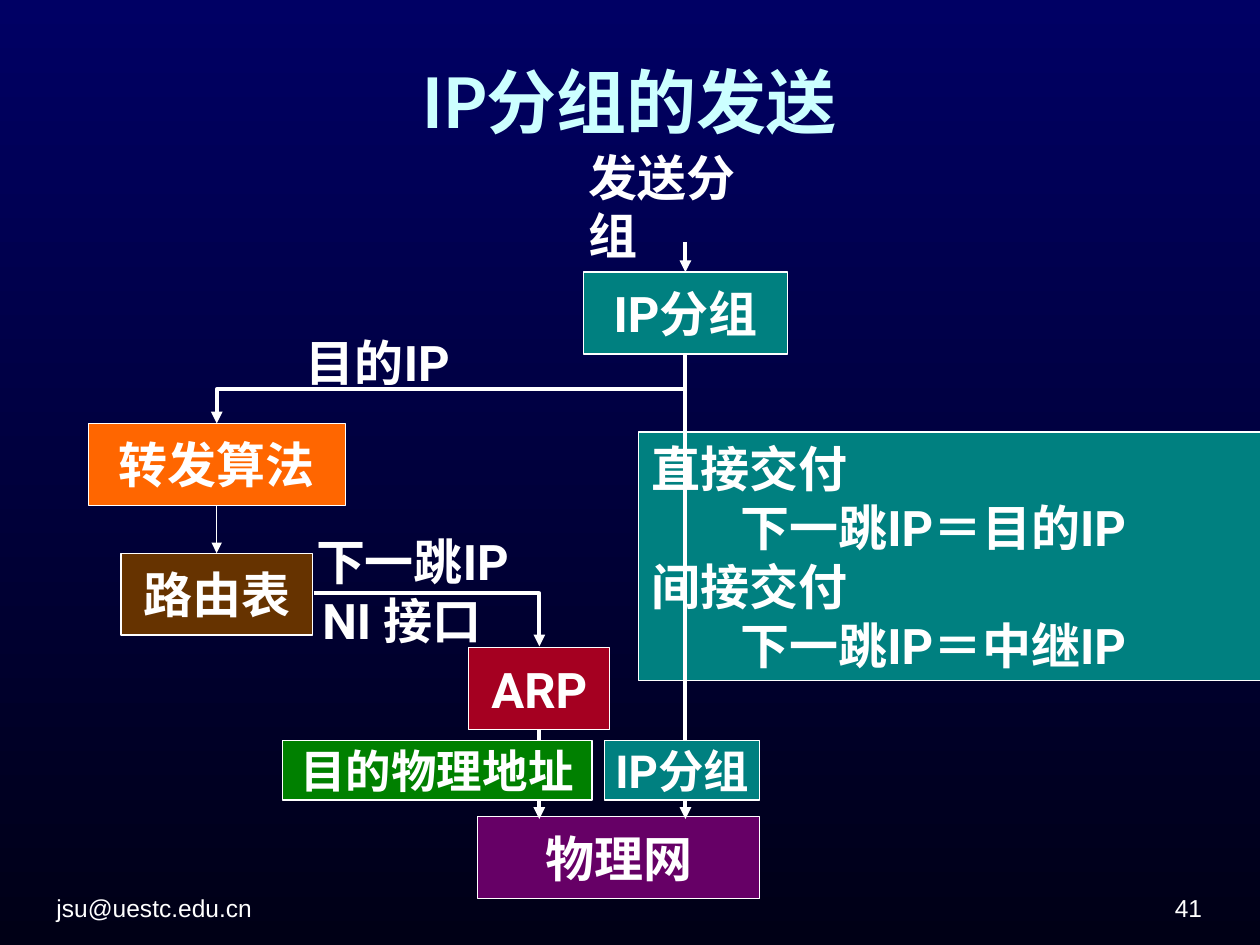
from dataclasses import dataclass
from typing import Optional

from lxml.etree import SubElement
from pptx import Presentation
from pptx.dml.color import RGBColor
from pptx.enum.shapes import MSO_CONNECTOR, MSO_SHAPE
from pptx.enum.text import MSO_ANCHOR, MSO_AUTO_SIZE, PP_ALIGN
from pptx.oxml.ns import qn
from pptx.util import Inches, Pt

WHITE = RGBColor(0xFF, 0xFF, 0xFF)
PALE = RGBColor(0xCC, 0xFF, 0xFF)
NAVY = RGBColor(0x00, 0x00, 0x64)
NIGHT = RGBColor(0x00, 0x00, 0x16)
TEAL = RGBColor(0x00, 0x80, 0x80)
ORANGE = RGBColor(0xFF, 0x66, 0x00)
BROWN = RGBColor(0x66, 0x33, 0x00)
RED = RGBColor(0xA5, 0x00, 0x21)
GREEN = RGBColor(0x00, 0x80, 0x00)
PURPLE = RGBColor(0x66, 0x00, 0x66)

COLS, ROWS = 100, 75
CELL = Inches(0.1)
FIT, FIXED = MSO_AUTO_SIZE.SHAPE_TO_FIT_TEXT, MSO_AUTO_SIZE.NONE
MID, TOP, LOW = MSO_ANCHOR.MIDDLE, MSO_ANCHOR.TOP, MSO_ANCHOR.BOTTOM
LEFT, MIDST, RIGHT = PP_ALIGN.LEFT, PP_ALIGN.CENTER, PP_ALIGN.RIGHT
HEAD = {"name": "Lato", "size": Pt(40), "bold": True}
BOLD = {"name": "Roboto", "size": Pt(28), "bold": True}
SMALL = BOLD | {"size": Pt(26)}
FOOT = {"name": "Arial", "size": Pt(14), "bold": False}
WIDE, SLIM = (0.18, 0.09), (0.1, 0.05)


@dataclass
class Box:
    key: str
    text: str
    col: float
    row: float
    wide: float
    high: float
    fill: Optional[RGBColor] = None
    font: Optional[dict] = None
    pad: tuple = WIDE
    align: int = MIDST
    anchor: int = MID
    wrap: bool = False
    size: int = FIT


@dataclass
class Link:
    start: tuple
    end: tuple
    source: str = ""
    target: str = ""
    width: float = 2.25


def span(cells: float) -> int:
    return round(cells * CELL)


def place(shape, col: float, row: float, wide: float, high: float) -> None:
    shape.left, shape.top = span(col), span(row)
    shape.width, shape.height = span(wide), span(high)


def style(part, look: dict, color: RGBColor, align: int) -> None:
    part.alignment = align
    for name, value in look.items():
        setattr(part.font, name, value)
    part.font.color.rgb = color


def draw(slide, box: Box):
    area = [span(n) for n in (box.col, box.row, box.wide, box.high)]
    if box.fill is None:
        shape = slide.shapes.add_textbox(*area)
    else:
        shape = slide.shapes.add_shape(MSO_SHAPE.RECTANGLE, *area)
        shape.shadow.inherit = False
        shape.fill.solid()
        shape.fill.fore_color.rgb = box.fill
        shape.line.color.rgb = WHITE
        shape.line.width = Pt(0.75)
    frame = shape.text_frame
    across, down = (Inches(n) for n in box.pad)
    layout = {
        "margin_left": across, "margin_right": across,
        "margin_top": down, "margin_bottom": down,
        "vertical_anchor": box.anchor, "word_wrap": box.wrap,
        "auto_size": box.size,
    }
    for name, value in layout.items():
        setattr(frame, name, value)
    frame.text = box.text
    for part in frame.paragraphs:
        style(part, box.font or BOLD, WHITE, box.align)
    return shape


def finish(line, width: float) -> None:
    line.line.color.rgb = WHITE
    line.line.width = Pt(width)
    SubElement(line.line._get_or_add_ln(), qn("a:tailEnd"), type="triangle")
    SubElement(line._element.spPr, qn("a:effectLst"))


def join(slide, link: Link, made: dict) -> None:
    ends = [span(n) for n in link.start + link.end]
    line = slide.shapes.add_connector(MSO_CONNECTOR.STRAIGHT, *ends)
    if link.source:
        line.begin_connect(made[link.source], 2)
    if link.target:
        line.end_connect(made[link.target], 0)
    finish(line, link.width)


def bend(slide, start: tuple, end: tuple, kind: str, turn: int = 0) -> None:
    ends = [span(n) for n in start + end]
    line = slide.shapes.add_connector(MSO_CONNECTOR.ELBOW, *ends)
    props = line._element.spPr
    props.find(qn("a:prstGeom")).set("prst", kind)
    if turn:
        wide, high = abs(end[0] - start[0]), abs(end[1] - start[1])
        mid = (start[0] + end[0]) / 2, (start[1] + end[1]) / 2
        frame = props.find(qn("a:xfrm"))
        frame.attrib.pop("flipH", None)
        frame.set("rot", str(turn * 60000))
        place(line, mid[0] - high / 2, mid[1] - wide / 2, high, wide)
    finish(line, 2.25)


RULES = "直接交付\n下一跳IP＝目的IP\n间接交付\n下一跳IP＝中继IP"
LABEL = {"pad": SLIM, "align": LEFT, "anchor": TOP}
NOTE = {"font": FOOT, "pad": SLIM, "anchor": LOW, "wrap": True, "size": FIXED}
BASE = [
    Box("mail", "jsu@uestc.edu.cn", 3.5, 69, 23.3, 4.7, align=LEFT, **NOTE),
    Box("page", "41", 73.1, 69, 23.3, 4.7, align=RIGHT, **NOTE),
    Box("route", "路由表", 9.6, 43.9, 15.2, 6.5, BROWN, pad=SLIM, size=FIXED),
    Box("packet", "IP分组", 46.3, 21.6, 16.2, 6.5, TEAL),
    Box("forward", "转发算法", 7, 33.6, 20.4, 6.5, ORANGE, wrap=True),
    Box("dest", "目的IP", 23.3, 25.9, 14.6, 5.7, **LABEL),
    Box("hop", "下一跳IP", 24.1, 41.7, 18.5, 5.7, **LABEL),
    Box("arp", "ARP", 37.2, 51.4, 11.2, 6.5, RED, pad=SLIM, size=FIXED),
    Box("net", "物理网", 37.9, 64.8, 22.4, 6.5, PURPLE, wrap=True),
    Box("port", "NI 接口", 24.6, 46.4, 16.4, 5.7, **LABEL),
    Box("rules", RULES, 50.7, 34.3, 51.5, 19.7, TEAL,
        pad=SLIM, align=LEFT, wrap=True),
    Box("send", "发送分组", 45.7, 13.5, 17.4, 5.7, pad=SLIM, align=LEFT),
]
FRONT = [
    Box("address", "目的物理地址", 22.4, 58.8, 24.6, 4.7, GREEN, SMALL,
        SLIM, size=FIXED),
    Box("data", "IP分组", 48, 58.8, 12.3, 4.7, TEAL, SMALL, size=FIXED),
]
LINKS = [
    Link((54.4, 19.2), (54.4, 21.6), "send", "packet"),
    Link((54.4, 28.1), (54.4, 65), "packet"),
    Link((17.2, 40.1), (17.2, 43.9), "forward", "route", 0.75),
    Link((42.8, 57.9), (42.8, 65), "arp"),
]


def main() -> None:
    deck = Presentation()
    deck.slide_width, deck.slide_height = COLS * CELL, ROWS * CELL
    slide = deck.slides.add_slide(deck.slide_layouts[5])
    back = slide.background.fill
    back.gradient()
    back.gradient_angle = 270
    for stop, color in zip(back.gradient_stops, (NAVY, NIGHT)):
        stop.color.rgb = color
    title = slide.shapes.title
    place(title, 3.5, 1.3, 92.9, 13.4)
    title.text_frame.text = "IP分组的发送"
    title.text_frame.auto_size = FIXED
    title.text_frame.vertical_anchor = MID
    style(title.text_frame.paragraphs[0], HEAD, PALE, MIDST)
    made = {box.key: draw(slide, box) for box in BASE}
    for part in made["rules"].text_frame.paragraphs[1::2]:
        part._p.get_or_add_pPr().set("marL", str(span(7.1)))
    for link in LINKS:
        join(slide, link, made)
    bend(slide, (54.4, 28.2), (17.2, 33.6), "bentConnector3", 90)
    bend(slide, (24.9, 47.1), (42.8, 51.3), "bentConnector2")
    for box in FRONT:
        draw(slide, box)
    deck.save("out.pptx")


if __name__ == "__main__":
    main()
